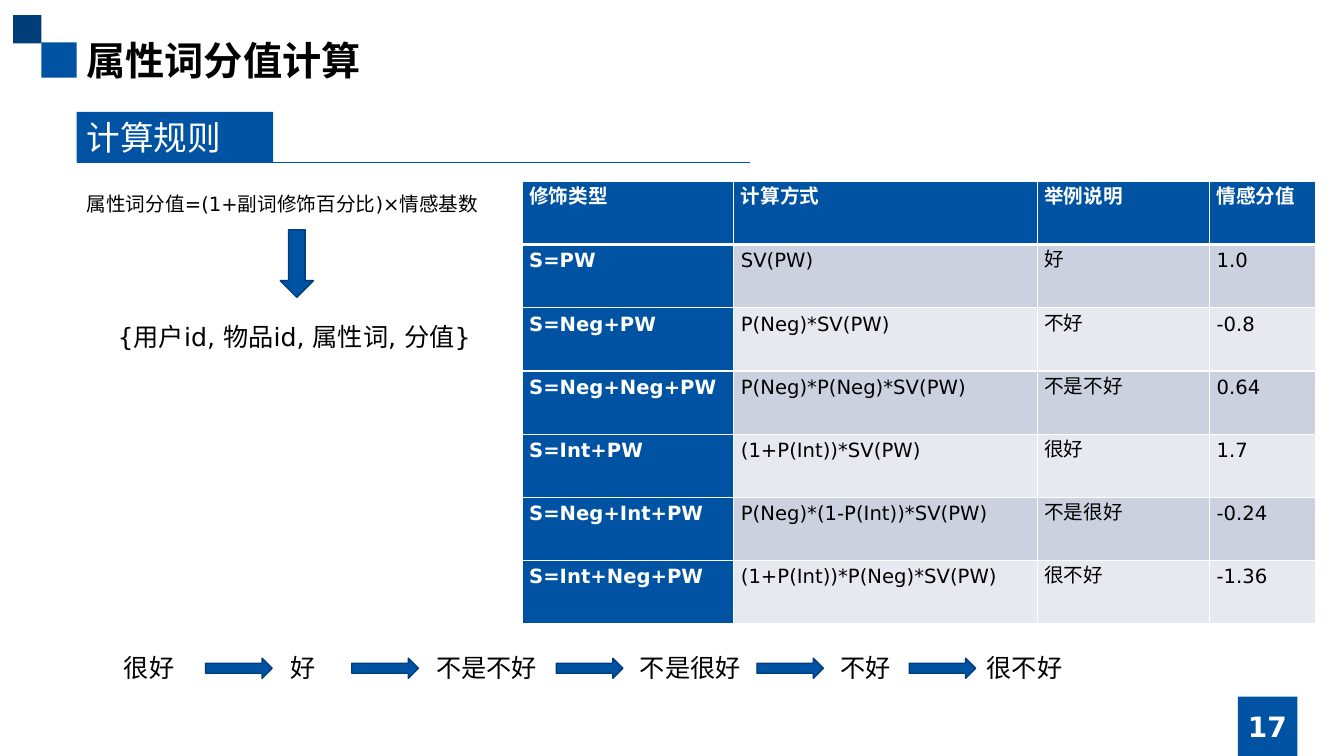
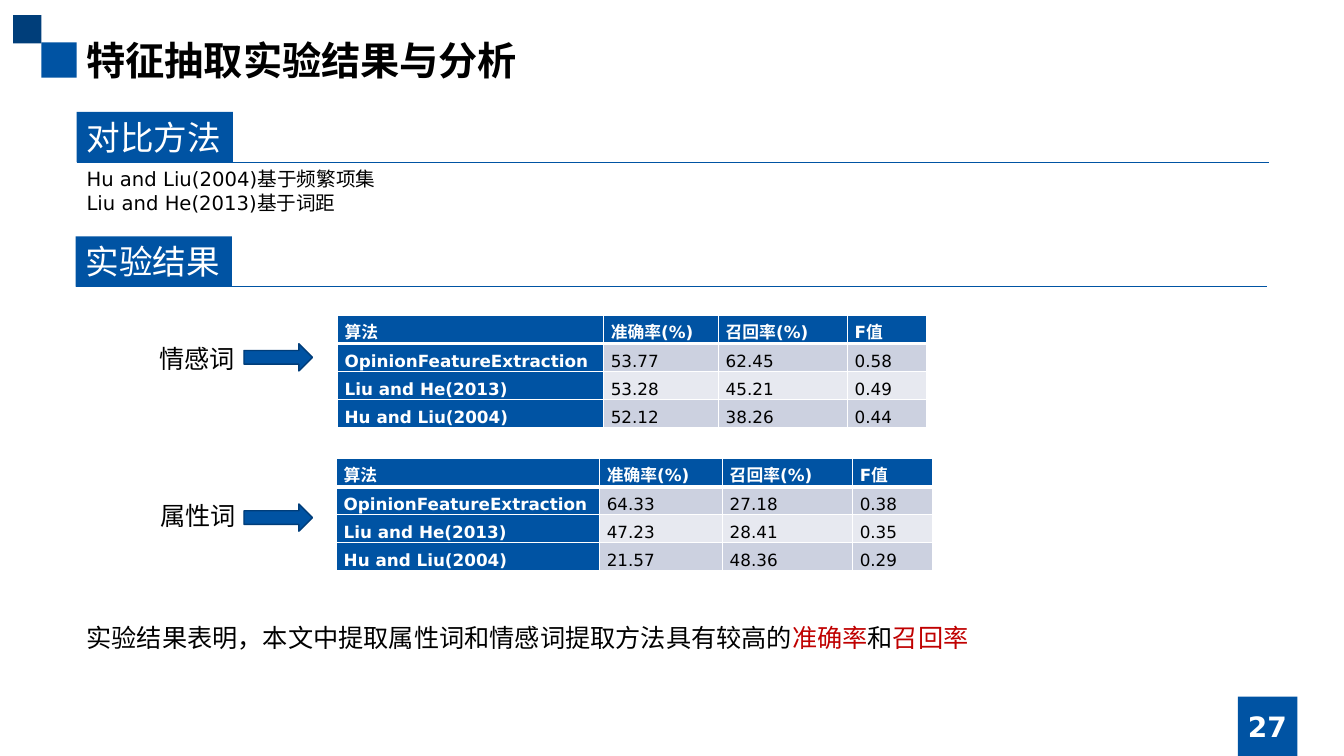
"""Build two slides on scoring attribute words and on feature extraction results."""
import lxml.etree
import pptx
import pptx.dml.color
import pptx.enum.shapes
import pptx.enum.text
import pptx.oxml.ns
import pptx.util

RGB = pptx.dml.color.RGBColor
BLUE = RGB(0x00, 0x53, 0xA3)
NAVY = RGB(0x00, 0x3E, 0x7A)
EDGE = RGB(0x00, 0x3D, 0x79)
DARK = RGB(0xCC, 0xD1, 0xE0)
PALE = RGB(0xE7, 0xE9, 0xF0)
RED = RGB(0xC0, 0x00, 0x00)
BLACK = RGB(0x00, 0x00, 0x00)
WHITE = RGB(0xFF, 0xFF, 0xFF)

FACE = "DejaVu Sans"
GRID = pptx.util.Inches(0.1)
WIDE, HIGH = 133.33, 75
LEFT = 7.6
KIND = pptx.enum.shapes.MSO_SHAPE
ALIGN = pptx.enum.text.PP_ALIGN
ANCHOR = pptx.enum.text.MSO_ANCHOR
FIT = pptx.enum.text.MSO_AUTO_SIZE.SHAPE_TO_FIT_TEXT

TITLE = {"size": 28, "bold": True}
PAGE = {"size": 20, "bold": True, "color": WHITE}
HEAD = {"size": 24, "color": WHITE}
BODY = {"size": 18}
NOTE = {"size": 14}

RULES = [
    ("修饰类型", "计算方式", "举例说明", "情感分值"),
    ("S=PW", "SV(PW)", "好", "1.0"),
    ("S=Neg+PW", "P(Neg)*SV(PW)", "不好", "-0.8"),
    ("S=Neg+Neg+PW", "P(Neg)*P(Neg)*SV(PW)", "不是不好", "0.64"),
    ("S=Int+PW", "(1+P(Int))*SV(PW)", "很好", "1.7"),
    ("S=Neg+Int+PW", "P(Neg)*(1-P(Int))*SV(PW)", "不是很好", "-0.24"),
    ("S=Int+Neg+PW", "(1+P(Int))*P(Neg)*SV(PW)", "很不好", "-1.36"),
]
CHAIN = [("很好", 11.3, 7.1), ("好", 27.8, 4.5), ("不是不好", 42.3, 12.1),
         ("不是很好", 62.5, 12.1), ("不好", 82.4, 7.1), ("很不好", 96.9, 9.6)]
STEPS = [20.4, 34.9, 55.2, 75.1, 90.2]

NAMES = ["算法", "OpinionFeatureExtraction", "Liu and He(2013)", "Hu and Liu(2004)"]
RATES = ("准确率(%)", "召回率(%)", "F值")
TESTS = [
    {"label": "情感词", "text": (14.8, 33.6), "arrow": 34.1, "at": (33.5, 31.3),
     "cols": (26.4, 11.4, 12.8, 7.8),
     "rows": [RATES, ("53.77", "62.45", "0.58"), ("53.28", "45.21", "0.49"),
              ("52.12", "38.26", "0.44")]},
    {"label": "属性词", "text": (14.9, 49.1), "arrow": 50, "at": (33.4, 45.5),
     "cols": (26.1, 12.2, 12.9, 7.9),
     "rows": [RATES, ("64.33", "27.18", "0.38"), ("47.23", "28.41", "0.35"),
              ("21.57", "48.36", "0.29")]},
]
CLOSE = [("实验结果表明，本文中提取属性词和情感词提取方法具有较高的", BLACK),
         ("准确率", RED), ("和", BLACK), ("召回率", RED)]


def span(*nums):
    return [round(num * GRID) for num in nums]


def style(font, look):
    form = {"name": FACE, "bold": False, "color": BLACK, **look}
    form["size"] = pptx.util.Pt(form["size"])
    font.color.rgb = form.pop("color")
    for key, val in form.items():
        setattr(font, key, val)


def write(frame, lines, look, **form):
    for num, line in enumerate(lines):
        para = frame.paragraphs[0] if num == 0 else frame.add_paragraph()
        for key, val in form.items():
            setattr(para, key, val)
        for text, tint in ([(line, None)] if isinstance(line, str) else line):
            run = para.add_run()
            run.text = text
            style(run.font, {**look, "color": tint} if tint else look)


def label(slide, box, lines, look, wrap=True, **form):
    frame = slide.shapes.add_textbox(*span(*box)).text_frame
    frame.word_wrap = wrap
    frame.auto_size = FIT
    write(frame, lines, look, **form)
    return frame


def block(slide, kind, box, fill=BLUE, edge=None):
    shape = slide.shapes.add_shape(kind, *span(*box))
    shape.shadow.inherit = False
    shape.fill.solid()
    shape.fill.fore_color.rgb = fill
    if edge is None:
        shape.line.fill.background()
    else:
        shape.line.color.rgb = edge
        shape.line.width = pptx.util.Pt(1)
    return shape


def band(slide, text, x, y, wide, end):
    frame = block(slide, KIND.RECTANGLE, (x, y, wide, 5)).text_frame
    frame.vertical_anchor = ANCHOR.TOP
    frame.word_wrap = False
    write(frame, [text], HEAD, alignment=ALIGN.LEFT)
    line = slide.shapes.add_connector(
        pptx.enum.shapes.MSO_CONNECTOR.STRAIGHT, *span(x, y + 5, end, y + 5))
    line.line.color.rgb = BLUE
    line.line.width = pptx.util.Pt(0.5)
    lxml.etree.SubElement(line._element.spPr, pptx.oxml.ns.qn("a:effectLst"))


def border(cell, first):
    qn = pptx.oxml.ns.qn
    for num, side in enumerate("LRTB"):
        thick = 3 if (first and side == "B") else 1
        rule = lxml.etree.Element(qn("a:ln" + side), w=str(pptx.util.Pt(thick)))
        fill = lxml.etree.SubElement(rule, qn("a:solidFill"))
        lxml.etree.SubElement(fill, qn("a:srgbClr"), val=str(WHITE))
        cell._tc.get_or_add_tcPr().insert(num, rule)


def grid(slide, at, cols, high, rows, size, align):
    box = span(*at, sum(cols), high * len(rows))
    table = slide.shapes.add_table(len(rows), len(cols), *box).table
    for col, wide in zip(table.columns, span(*cols)):
        col.width = wide
    pad = span(0.7)[0]
    form = {"margin_left": pad, "margin_right": pad, "margin_top": 0, "margin_bottom": 0}
    for r, row in enumerate(rows):
        table.rows[r].height = span(high)[0]
        for c, text in enumerate(row):
            cell, key = table.cell(r, c), r == 0 or c == 0
            for name, val in form.items():
                setattr(cell, name, val)
            cell.fill.solid()
            cell.fill.fore_color.rgb = BLUE if key else DARK if r % 2 else PALE
            border(cell, r == 0)
            look = {"size": size, "bold": key, "color": WHITE if key else BLACK}
            write(cell.text_frame, [text], look, alignment=align,
                  line_spacing=pptx.util.Pt(20))


def start(deck, title, page):
    slide = deck.slides.add_slide(deck.slide_layouts[6])
    for box, fill in [((4.1, 4.2, 3.5, 3.5), BLUE), ((1.3, 1.5, 2.8, 2.8), NAVY),
                      ((122.8, HIGH - 5.9, 5.9, 5.9), BLUE)]:
        block(slide, KIND.RECTANGLE, box, fill)
    label(slide, (LEFT, 3.1, 118.1, 5.7), [title], TITLE)
    frame = label(slide, (WIDE - 15.2, 70.1, 15.2, 4), [page], PAGE, alignment=ALIGN.CENTER)
    frame.vertical_anchor = ANCHOR.MIDDLE
    return slide


def score(deck):
    slide = start(deck, "属性词分值计算", "17")
    band(slide, "计算规则", LEFT, 11.1, 19.5, 74.4)
    label(slide, (LEFT, 18, 66.8, 4), ["属性词分值=(1+副词修饰百分比)×情感基数"], NOTE,
          line_spacing=1.25)
    grid(slide, (51.8, 18), (21, 30.1, 17.1, 10.5), 6.27, RULES, 14, ALIGN.LEFT)
    block(slide, KIND.DOWN_ARROW, (27.8, 22.8, 3.3, 6.7), edge=EDGE)
    label(slide, (10.7, 31.4, 37.7, 4), ["{用户id, 物品id, 属性词, 分值}"], BODY)
    for text, x, wide in CHAIN:
        label(slide, (x, 64.2, wide, 4), [text], BODY, wrap=False)
    for x in STEPS:
        block(slide, KIND.RIGHT_ARROW, (x, 65.3, 6.6, 2), edge=EDGE)


def result(deck):
    slide = start(deck, "特征抽取实验结果与分析", "27")
    band(slide, "对比方法", LEFT, 11.1, 15.5, 125.9)
    label(slide, (LEFT, 16.1, 118.1, 5.7),
          ["Hu and Liu(2004)基于频繁项集", "Liu and He(2013)基于词距"], NOTE)
    band(slide, "实验结果", 7.5, 23.45, 15.5, 125.7)
    for test in TESTS:
        rows = [(name, *vals) for name, vals in zip(NAMES, test["rows"])]
        grid(slide, test["at"], test["cols"], 2.77, rows, 12, ALIGN.JUSTIFY)
        block(slide, KIND.RIGHT_ARROW, (24.2, test["arrow"], 6.8, 2.7), edge=EDGE)
        label(slide, (*test["text"], 12, 4), [test["label"]], BODY)
    label(slide, (LEFT, 61.2, 118.3, 4), [CLOSE], BODY)


def main():
    deck = pptx.Presentation()
    deck.slide_width, deck.slide_height = span(WIDE, HIGH)
    score(deck)
    result(deck)
    deck.save("out.pptx")


if __name__ == "__main__":
    main()
